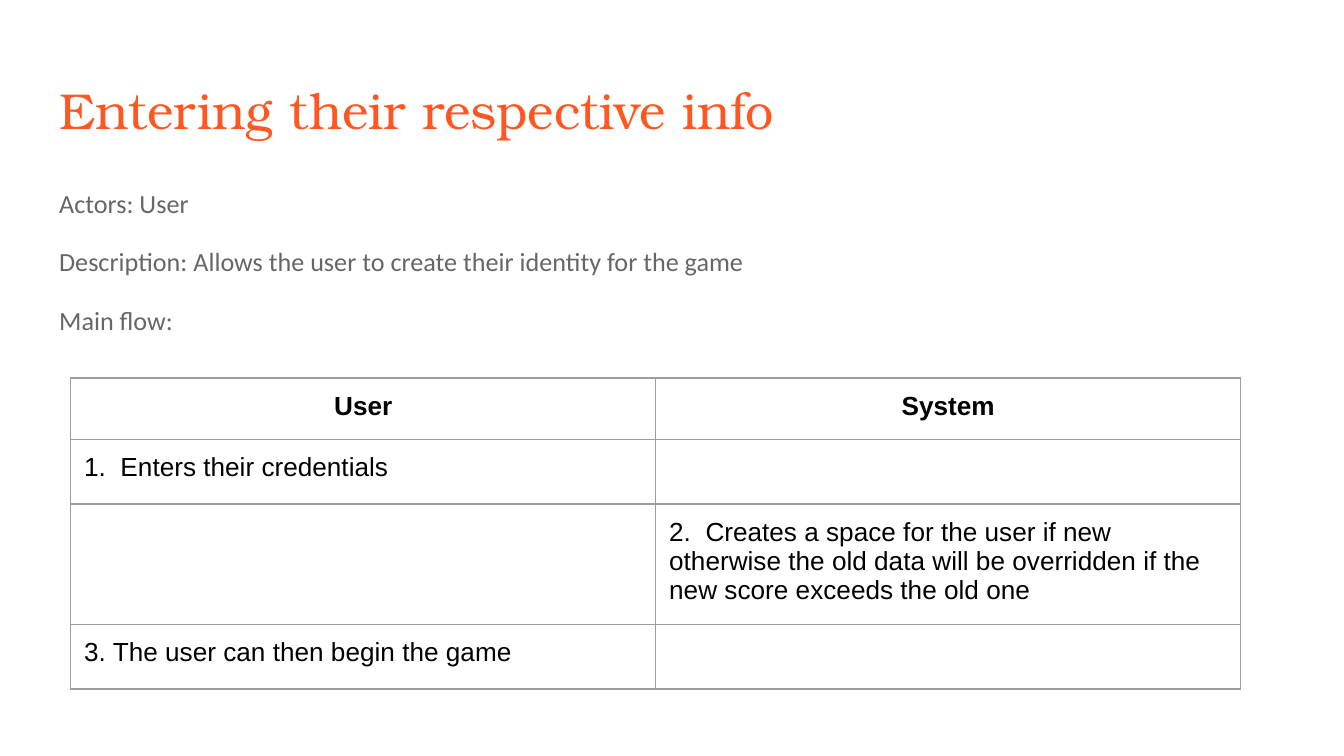
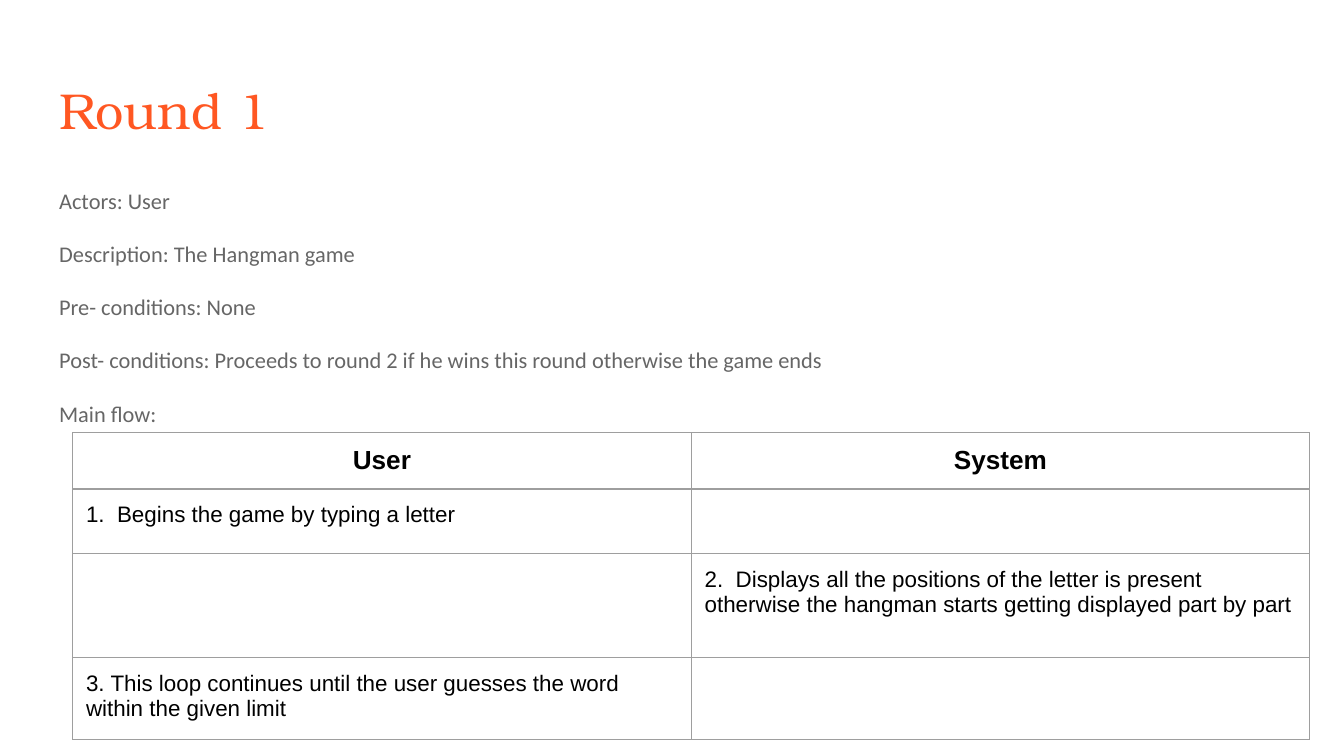
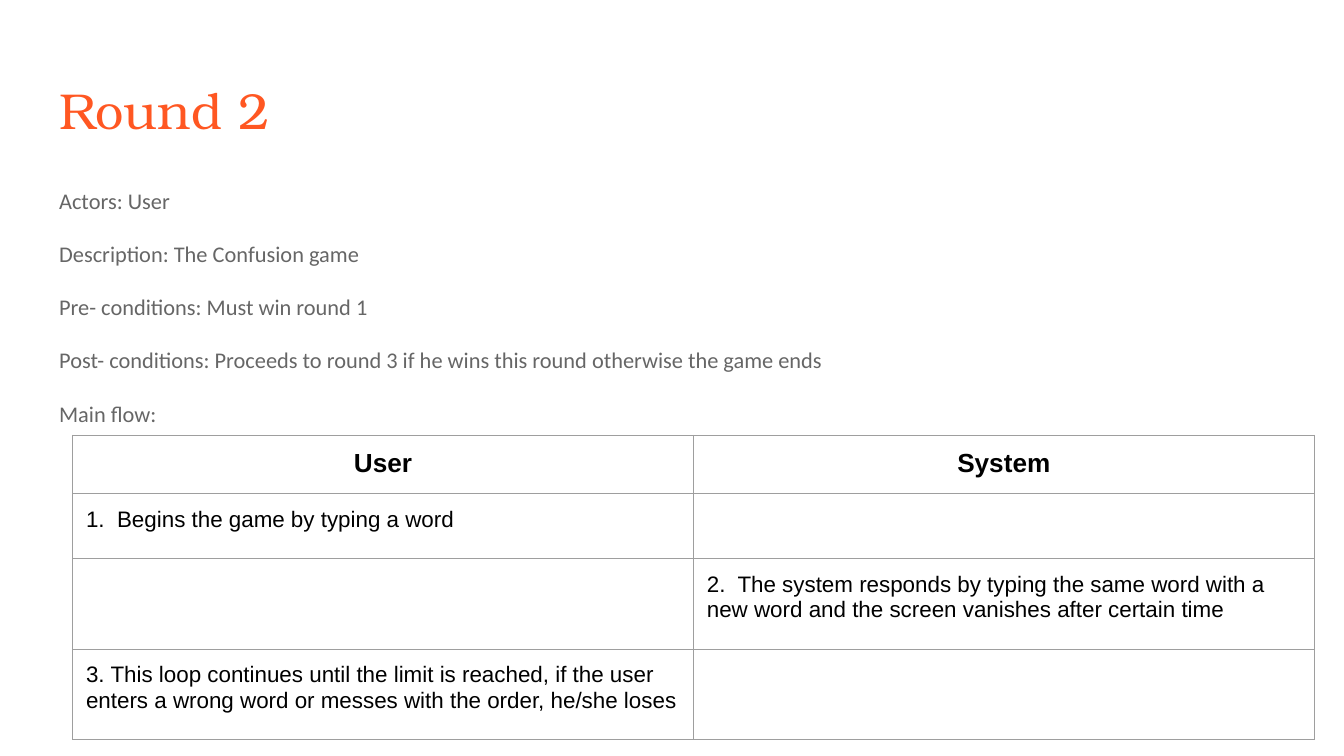
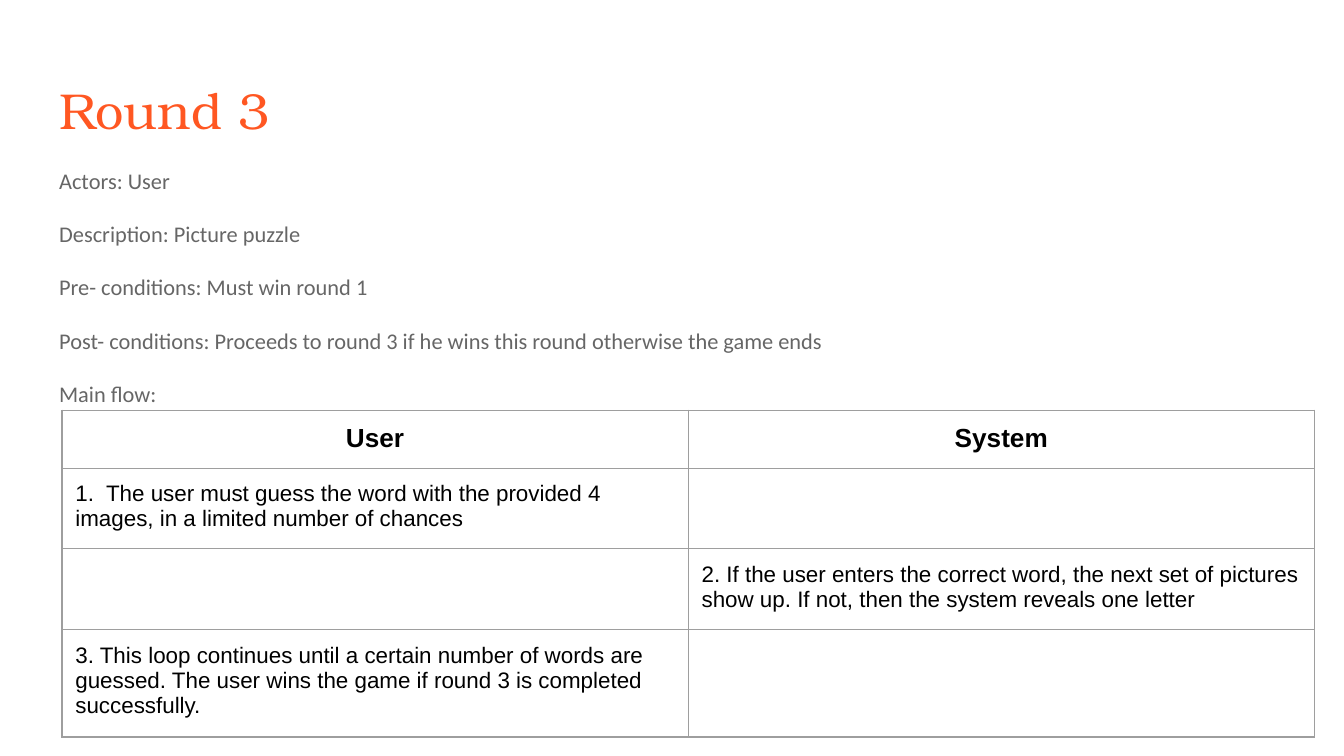
from pptx import Presentation
from pptx.dml.color import RGBColor
from pptx.enum.text import MSO_ANCHOR, MSO_AUTO_SIZE, PP_ALIGN
from pptx.util import Pt
from lxml.etree import SubElement
from pptx.oxml.ns import qn

ORANGE = RGBColor(0xFF, 0x57, 0x22)
GREY = RGBColor(0x66, 0x66, 0x66)
BLACK = RGBColor(0x00, 0x00, 0x00)
BORDER = RGBColor(0x9E, 0x9E, 0x9E)

TITLE_FONT = "TeX Gyre Bonum"
BODY_FONT = "Calibri"
TABLE_FONT = "Arial"

INSET = Pt(7.2)
LEFT, WIDTH = Pt(24.6), Pt(671)
TITLE_ONLY = 5


class Deck:
    """Shared style and the slide being built."""

    def __init__(self):
        self.prs = Presentation()
        self.prs.slide_width, self.prs.slide_height = Pt(720), Pt(405)
        self.s = None

    def set_insets(self, box):
        box.margin_left = box.margin_right = INSET
        box.margin_top = box.margin_bottom = INSET

    def style(self, p, font, size, color, bold=False):
        for r in p.runs:
            r.font.name, r.font.size, r.font.bold = font, Pt(size), bold
            r.font.color.rgb = color

    def frame(self, tf):
        self.set_insets(tf)
        tf.word_wrap = True
        tf.auto_size = MSO_AUTO_SIZE.NONE
        tf.vertical_anchor = MSO_ANCHOR.TOP

    def slide(self, title):
        self.s = self.prs.slides.add_slide(self.prs.slide_layouts[TITLE_ONLY])
        sp = self.s.shapes.title
        sp.left, sp.top, sp.width, sp.height = LEFT, Pt(35), WIDTH, Pt(45.4)
        tf = sp.text_frame
        tf.text = title
        self.frame(tf)
        p = tf.paragraphs[0]
        p.alignment = PP_ALIGN.LEFT
        self.style(p, TITLE_FONT, 27, ORANGE)

    def summary(self, lines, size, top):
        """Use-case facts, one paragraph each, ending above the flow table."""
        sp = self.s.shapes.add_textbox(LEFT, Pt(top), WIDTH, Pt(360 - top))
        tf = sp.text_frame
        tf.text = "\n".join(lines)
        self.frame(tf)
        for i, p in enumerate(tf.paragraphs):
            p.line_spacing = 1.15
            p.space_before = Pt(12 if i else 0)
            self.style(p, BODY_FONT, size, GREY)

    def border(self, cell):
        tcPr = cell._tc.get_or_add_tcPr()
        for side in ("a:lnL", "a:lnR", "a:lnT", "a:lnB"):
            ln = SubElement(tcPr, qn(side), w=str(Pt(0.75)))
            fill = SubElement(ln, qn("a:solidFill"))
            SubElement(fill, qn("a:srgbClr"), val=str(BORDER))

    def flow(self, steps, size, left, top, col_width, heights):
        """Main flow: the steps alternate between user and system."""
        rows = [("User", "System")]
        rows += [(t, "") if i % 2 == 0 else ("", t) for i, t in enumerate(steps)]
        table = self.s.shapes.add_table(
            len(rows), 2, Pt(left), Pt(top),
            Pt(2 * col_width), Pt(sum(heights))).table
        table.first_row = table.horz_banding = False
        for col in table.columns:
            col.width = Pt(col_width)
        for i, (texts, height) in enumerate(zip(rows, heights)):
            table.rows[i].height = Pt(height)
            for j, text in enumerate(texts):
                cell = table.cell(i, j)
                self.border(cell)
                cell.fill.background()
                if not text:
                    continue
                self.set_insets(cell)
                cell.text = text
                p = cell.text_frame.paragraphs[0]
                p.alignment = PP_ALIGN.LEFT if i else PP_ALIGN.CENTER
                self.style(p, TABLE_FONT, size if i else 14, BLACK, bold=i == 0)


def round_lines(game, before, after):
    return ["Actors: User", f"Description: {game}", f"Pre- conditions: {before}",
            f"Post- conditions: Proceeds to round {after} if he wins this round "
            "otherwise the game ends", "Main flow:"]


def main():
    d = Deck()

    # Player details
    d.slide("Entering their respective info")
    d.summary(["Actors: User",
               "Description: Allows the user to create their identity for the game",
               "Main flow:"], 14, 90.7)
    d.flow(["1.  Enters their credentials",
            "2.  Creates a space for the user if new otherwise the old data will be "
            "overridden if the new score exceeds the old one",
            "3. The user can then begin the game"],
           14, 37.9, 202.5, 313.4, [33, 34.5, 64.6, 34.6])

    # Round 1
    d.slide("Round 1")
    d.flow(["1.  Begins the game by typing a letter",
            "2.  Displays all the positions of the letter is present otherwise the "
            "hangman starts getting displayed part by part",
            "3. This loop continues until the user guesses the word within the "
            "given limit"],
           12, 38.9, 231.8, 331.4, [29.8, 34.5, 55.7, 44.2])
    d.summary(round_lines("The Hangman game", "None", 2), 12, 90.7)

    # Round 2
    d.slide("Round 2")
    d.summary(round_lines("The Confusion game", "Must win round 1", 3), 12, 90.7)
    d.flow(["1.  Begins the game by typing a word",
            "2.  The system responds by typing the same word with a new word and the "
            "screen vanishes after certain time",
            "3. This loop continues until the limit is reached, if the user enters a "
            "wrong word or messes with the order, he/she loses"],
           12, 38.9, 233.3, 332.6, [31.3, 34.5, 48.7, 48.3])

    # Round 3
    d.slide("Round 3")
    d.summary(round_lines("Picture puzzle", "Must win round 1", 3), 12, 80.1)
    d.flow(["1.  The user must guess the word with the provided 4 images, in a "
            "limited number of chances",
            "2. If the user enters the correct word, the next set of pictures show "
            "up. If not, then the system reveals one letter",
            "3. This loop continues until a certain number of words are guessed. "
            "The user wins the game if round 3 is completed successfully."],
           12, 33.2, 219.8, 335.5, [31, 43.2, 43.2, 57.6])

    d.prs.save("out.pptx")


if __name__ == "__main__":
    main()
